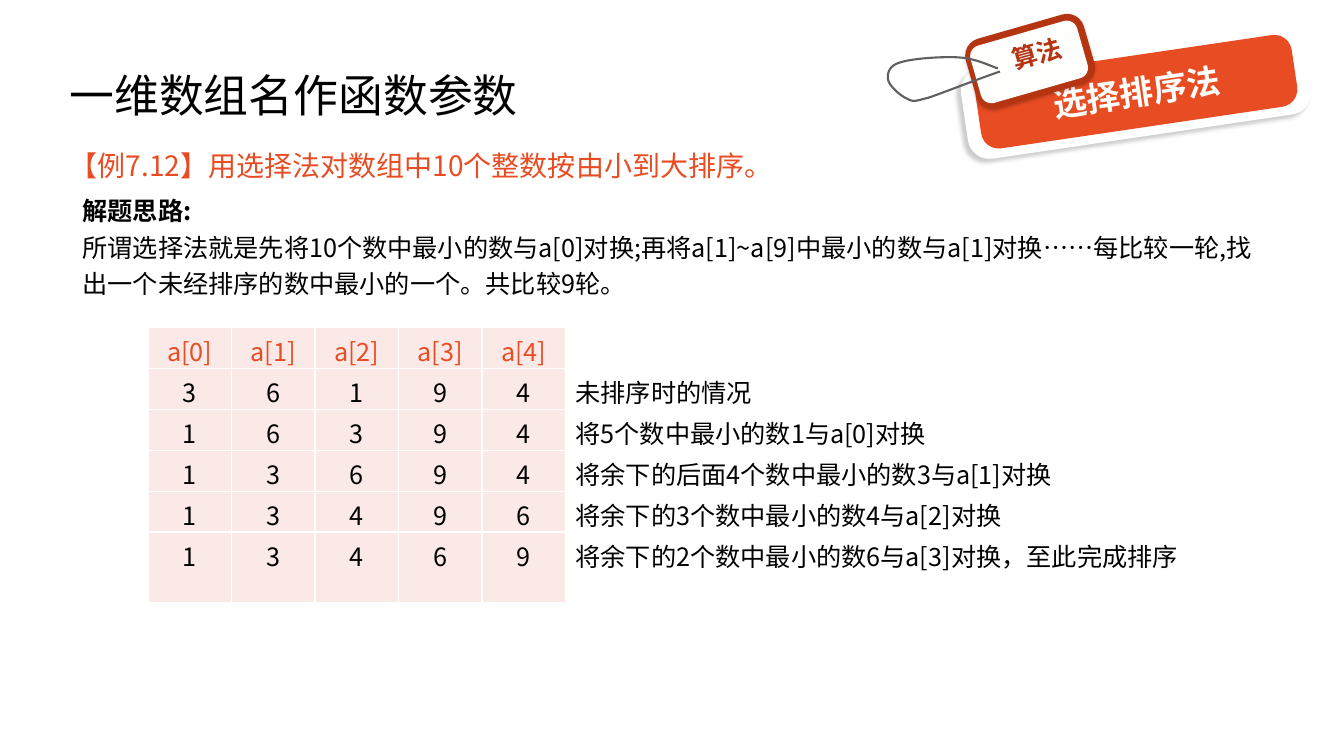
from pptx import Presentation
from pptx.dml.color import RGBColor
from pptx.enum.shapes import MSO_SHAPE as Preset
from pptx.enum.text import MSO_ANCHOR as Anchor, MSO_AUTO_SIZE as AutoSize, PP_ALIGN as Align
from pptx.oxml import parse_xml
from pptx.oxml.ns import nsdecls
from pptx.util import Pt

FONT = "Noto Sans CJK SC"
BLACK = RGBColor(0x00, 0x00, 0x00)
WHITE = RGBColor(0xFF, 0xFF, 0xFF)
OFF_WHITE = RGBColor(0xFE, 0xFE, 0xFD)
ORANGE = RGBColor(0xE8, 0x4C, 0x22)
RUST = RGBColor(0xB5, 0x35, 0x13)
PINK = RGBColor(0xFB, 0xE9, 0xE8)
GREY = RGBColor(0x5F, 0x5F, 0x5F)


def write(paragraph, text, size, color, bold=False, **paragraph_format):
    """Add one run and set attributes such as alignment on the paragraph."""
    for name, value in paragraph_format.items():
        setattr(paragraph, name, value)
    run = paragraph.add_run()
    run.text = text
    run.font.color.rgb = color
    for name, value in {"name": FONT, "size": Pt(size), "bold": bold}.items():
        setattr(run.font, name, value)
    run._r.get_or_add_rPr().append(
        parse_xml(f'<a:ea {nsdecls("a")} typeface="{FONT}"/>'))


def place(shape, left, top, width, height):
    shape.left, shape.top = Pt(left), Pt(top)
    shape.width, shape.height = Pt(width), Pt(height)


presentation = Presentation()
presentation.slide_width, presentation.slide_height = Pt(960), Pt(540)
slide = presentation.slides.add_slide(presentation.slide_layouts[1])

# Title and example heading
title, example = slide.placeholders
place(title, 42.5, 18, 828, 104.4)
title.text_frame.auto_size = AutoSize.NONE
title.text_frame.vertical_anchor = Anchor.MIDDLE
write(title.text_frame.paragraphs[0], "一维数组名作函数参数", 32, BLACK,
      alignment=Align.LEFT, line_spacing=0.9)

place(example, 42.5, 97.9, 887, 40.3)
example.text_frame.auto_size = AutoSize.NONE
heading = example.text_frame.paragraphs[0]
properties = heading._p.get_or_add_pPr()
properties.set("marL", str(Pt(7.2)))
properties.set("indent", str(Pt(-7.2)))
properties.append(parse_xml(f'<a:buNone {nsdecls("a")}/>'))
write(heading, "【例7.12】用选择法对数组中10个整数按由小到大排序。", 20, ORANGE,
      line_spacing=1.2, space_before=Pt(0))

# Explanation
explanation = slide.shapes.add_textbox(Pt(51.8), Pt(131.8), Pt(853.2), Pt(85.7)).text_frame
explanation.word_wrap = True
explanation.auto_size = AutoSize.SHAPE_TO_FIT_TEXT
write(explanation.paragraphs[0], "解题思路:", 18, BLACK, True, line_spacing=1.2)
write(explanation.add_paragraph(),
      "所谓选择法就是先将10个数中最小的数与a[0]对换;再将a[1]~a[9]中最小的数与a[1]对换……"
      "每比较一轮,找出一个未经排序的数中最小的一个。共比较9轮。", 18, BLACK, line_spacing=1.2)

# Tag: box, rotation, corner, fill, shadow (blur, distance, angle), text, size, color, insets
TAG_PLATES = [
    ((687.6, 33.1, 247.7, 64.8), -8.4, 0.242, WHITE, (3, 4, 135), None),
    ((697.7, 39.6, 228.2, 51.8), -8.4, 0.242, ORANGE, None,
     ("选择排序法", 24, OFF_WHITE, 0, 0)),
    ((691.9, 18, 87.8, 51.8), -16, 0.242, RUST, (2, 1, 100), None),
    ((695.5, 23, 79.2, 42.5), -16, 0.182, OFF_WHITE, None,
     ("算法", 18, RUST, 14.4, 8.64)),
]
tag = slide.shapes.add_group_shape().shapes
for box, rotation, corner, color, shadow, label in TAG_PLATES:
    plate = tag.add_shape(Preset.ROUNDED_RECTANGLE, *map(Pt, box))
    plate.rotation = rotation
    plate.adjustments[0] = corner
    plate.fill.solid()
    plate.fill.fore_color.rgb = color
    plate.line.fill.background()
    plate.shadow.inherit = False
    if shadow:
        blur, distance, angle = shadow
        plate._element.spPr.find("{*}effectLst").append(parse_xml(
            f'<a:outerShdw {nsdecls("a")} blurRad="{Pt(blur)}" dist="{Pt(distance)}"'
            f' dir="{angle * 60000}" algn="ctr" rotWithShape="0">'
            '<a:srgbClr val="000000"><a:alpha val="20000"/></a:srgbClr></a:outerShdw>'))
    if label:
        text, size, text_color, left_inset, bottom_inset = label
        frame = plate.text_frame
        for name, value in {"margin_left": Pt(left_inset), "margin_top": 0,
                            "margin_right": 0, "margin_bottom": Pt(bottom_inset),
                            "vertical_anchor": Anchor.MIDDLE}.items():
            setattr(frame, name, value)
        write(frame.paragraphs[0], text, size, text_color, True, alignment=Align.CENTER)

hole = tag.add_shape(Preset.OVAL, Pt(702), Pt(44.6), Pt(13), Pt(13))
hole.fill.solid()
hole.fill.fore_color.rgb = WHITE
hole.line.fill.background()
hole.shadow.inherit = False

# String of the tag: Bezier segments in inches, each starting where the last one ends
STRING_START = (9.9, 0.68)
STRING_CURVES = [
    ((9.79, 0.64), (9.67, 0.58), (9.51, 0.57)),
    ((9.35, 0.56), (9.05, 0.58), (8.93, 0.62)),
    ((8.82, 0.65), (8.8, 0.73), (8.81, 0.79)),
    ((8.82, 0.85), (8.93, 0.95), (9, 0.98)),
    ((9.06, 1.01), (9.06, 1.01), (9.21, 0.97)),
    ((9.36, 0.92), (9.66, 0.8), (9.92, 0.71)),
]
STEPS = 12
points = []
start = STRING_START
for first, second, end in STRING_CURVES:
    for step in range(1, STEPS + 1):
        t = step / STEPS
        weights = ((1 - t) ** 3, 3 * t * (1 - t) ** 2, 3 * t * t * (1 - t), t ** 3)
        points.append([Pt(72 * sum(weight * value for weight, value in zip(weights, axis)))
                       for axis in zip(start, first, second, end)])
    start = end
builder = tag.build_freeform(*(Pt(72 * value) for value in STRING_START))
builder.add_line_segments(points, close=False)
string = builder.convert_to_shape()
string.fill.background()
string.line.color.rgb = GREY
string.line.width = Pt(1.5)
string.shadow.inherit = False

# Sorting steps
ROWS = [
    ("a[0]", "a[1]", "a[2]", "a[3]", "a[4]", ""),
    (3, 6, 1, 9, 4, "未排序时的情况"),
    (1, 6, 3, 9, 4, "将5个数中最小的数1与a[0]对换"),
    (1, 3, 6, 9, 4, "将余下的后面4个数中最小的数3与a[1]对换"),
    (1, 3, 4, 9, 6, "将余下的3个数中最小的数4与a[2]对换"),
    (1, 3, 4, 6, 9, "将余下的2个数中最小的数6与a[3]对换，至此完成排序"),
]
NOTE_COLUMN = 5
table = slide.shapes.add_table(len(ROWS), NOTE_COLUMN + 1,
                               Pt(105.8), Pt(234), Pt(746), Pt(175.2)).table
table.first_row = table.horz_banding = False
for index, column in enumerate(table.columns):
    column.width = Pt(447.8 if index == NOTE_COLUMN else 59.64)
for row_index, values in enumerate(ROWS):
    table.rows[row_index].height = Pt(29.2)
    for column_index, value in enumerate(values):
        cell = table.cell(row_index, column_index)
        is_note = column_index == NOTE_COLUMN
        if is_note:
            cell.fill.background()
        else:
            cell.fill.solid()
            cell.fill.fore_color.rgb = PINK
        for position, side in enumerate("LRTB"):
            cell._tc.get_or_add_tcPr().insert(position, parse_xml(
                f'<a:ln{side} {nsdecls("a")} w="{Pt(1)}"><a:solidFill>'
                f'<a:srgbClr val="{WHITE}"/></a:solidFill></a:ln{side}>'))
        if value != "":
            write(cell.text_frame.paragraphs[0], str(value), 18,
                  BLACK if row_index else ORANGE,
                  alignment=Align.LEFT if is_note else Align.CENTER)

presentation.save("out.pptx")
